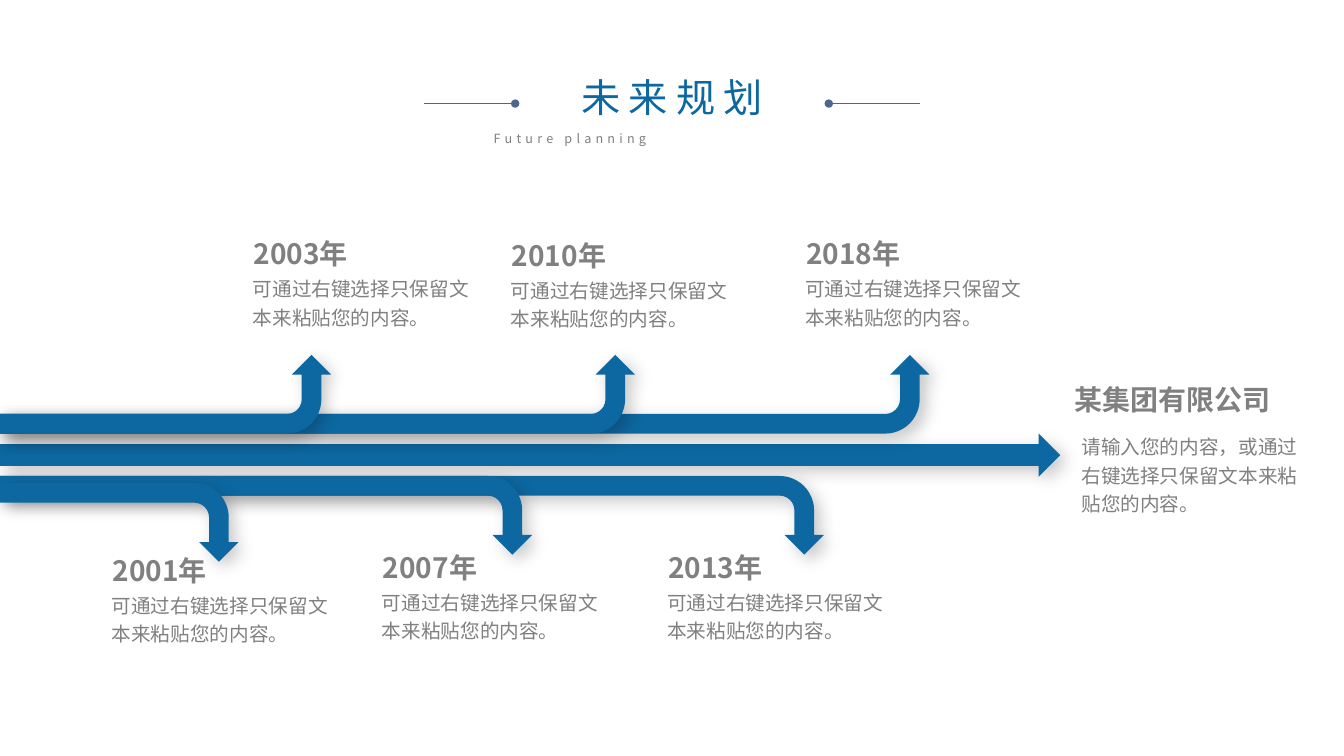
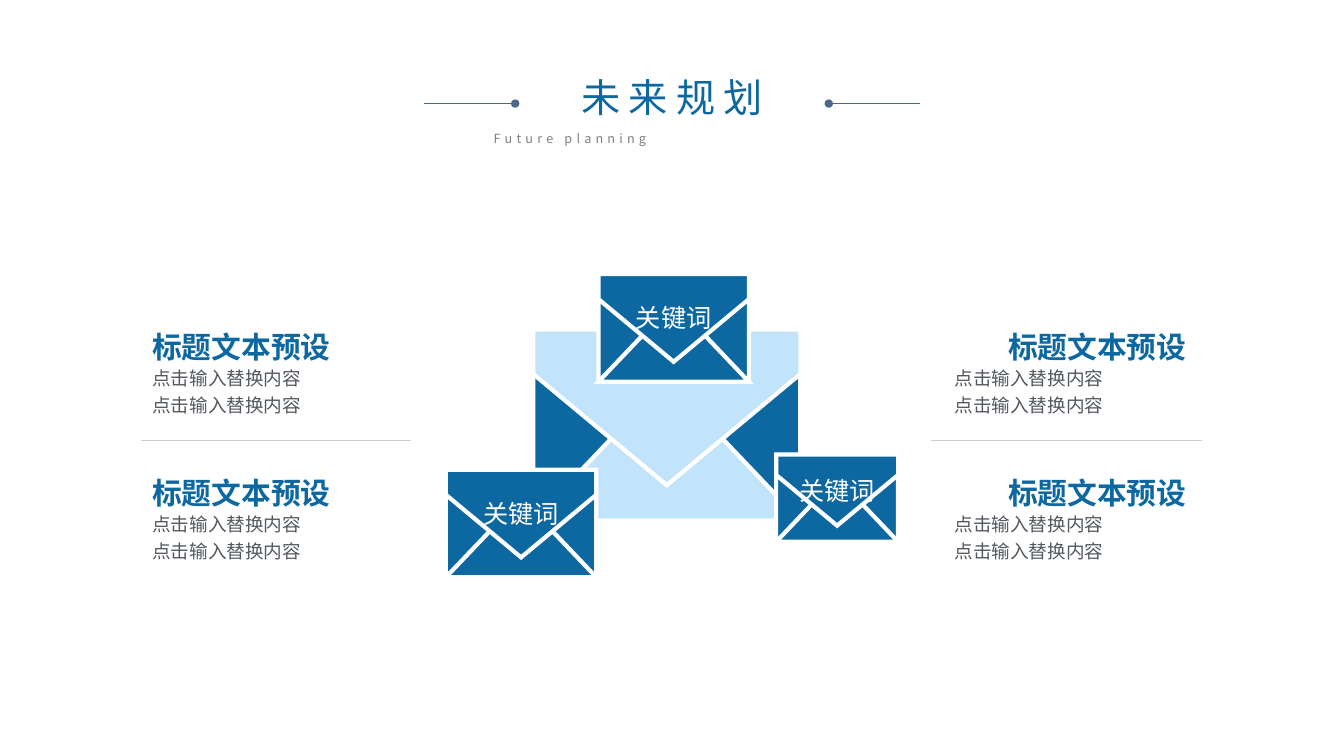
"""Builds two planning slides: a timeline of arrows and a set of envelopes."""
from lxml.etree import SubElement as Sub
from pptx import Presentation
from pptx.dml.color import RGBColor as RGB
from pptx.enum.shapes import MSO_CONNECTOR as Conn, MSO_SHAPE as Kind
from pptx.enum.text import MSO_ANCHOR as Anchor, PP_ALIGN as Align
from pptx.oxml.ns import qn
from pptx.util import Pt

FONT = "Noto Sans CJK SC"
BLUE, PALE, WHITE = RGB(13, 104, 161), RGB(193, 228, 250), RGB(255, 255, 255)
GRAY, DARK = RGB(128, 128, 128), RGB(83, 88, 95)
SLATE, SILVER = RGB(76, 103, 142), RGB(204, 204, 204)

TITLE, SUB = "未来规划", "Future planning"
RULES = [(303, 368), (657, 592)]
NOTE = "可通过右键选择只保留文本来粘贴您的内容。"
FIRM = "某集团有限公司"
GOAL = "请输入您的内容，或通过右键选择只保留文本来粘贴您的内容。"
UP, DOWN, DEEP = 253.5, 340, 345
STEPS = [
    ("2018年", 568.8, 165.6, 664, UP),
    ("2013年", 470.2, 389.5, 588.5, DOWN),
    ("2010年", 358.6, 167, 453.6, UP),
    ("2007年", 266.4, 389.5, 380, DOWN),
    ("2003年", 174.2, 165.6, 236.6, UP),
    ("2001年", 73.4, 391.7, 170.4, DEEP),
]
BEND = 56.2

HEAD, LINE = "标题文本预设", "点击输入替换内容"
SIDES = [
    (665.3, 681.8, 641.5, Align.RIGHT),
    (100.8, 108.7, 108.7, Align.LEFT),
]
ROWS = [234.7, 339]
MAILS = [
    (380.9, 235.4, 190.8, PALE, ""),
    (318.5, 335.5, 107.5, BLUE, "关键词"),
    (554.4, 324.7, 87.1, BLUE, "关键词"),
    (427.5, 195.8, 107.5, BLUE, "关键词"),
]


def write(shape, lines, size, color, align=Align.LEFT, bold=False,
          space=None, gap=0, inset=None):
    frame = shape.text_frame
    frame.word_wrap = True
    frame.vertical_anchor = Anchor.TOP
    if inset is not None:
        frame.margin_left = frame.margin_right = Pt(inset)
        frame.margin_top = frame.margin_bottom = Pt(inset)
    for i, line in enumerate(lines):
        para = frame.paragraphs[0] if i == 0 else frame.add_paragraph()
        para.text = line
        para.alignment = align
        if space:
            para.line_spacing = space
        font = para.font
        font.name, font.size, font.bold = FONT, Pt(size), bold
        font.color.rgb = color
        prop = para._p.pPr.find(qn("a:defRPr"))
        Sub(prop, qn("a:ea"), typeface=FONT)
        if gap:
            prop.set("spc", str(gap * 100))


def label(slide, x, y, w, h, lines, *args, **opts):
    box = slide.shapes.add_textbox(Pt(x), Pt(y), Pt(w), Pt(h))
    write(box, lines, *args, **opts)


def rule(slide, x, end, y, color, dot=False):
    line = slide.shapes.add_connector(Conn.STRAIGHT, Pt(x), Pt(y), Pt(end), Pt(y))
    line.line.color.rgb = color
    line.line.width = Pt(0.5)
    if dot:
        Sub(line.line._get_or_add_ln(), qn("a:tailEnd"), type="oval")
    Sub(line._element.spPr, qn("a:effectLst"))


def paint(shape, color, edge=None):
    shape.shadow.inherit = False
    shape.fill.solid()
    shape.fill.fore_color.rgb = color
    if edge is None:
        shape.line.fill.background()
    else:
        shape.line.color.rgb = edge
        shape.line.width = Pt(3)
        Sub(shape.line._get_or_add_ln(), qn("a:miter"), lim="800000")


def arrow(slide, kind, x, y, w, h):
    shape = slide.shapes.add_shape(kind, Pt(x), Pt(y), Pt(w), Pt(h))
    paint(shape, BLUE)
    glow = Sub(shape._element.spPr.find(qn("a:effectLst")), qn("a:outerShdw"),
               blurRad=str(Pt(12)), dist=str(Pt(5)), dir="2700000",
               algn="tl", rotWithShape="0")
    tint = Sub(glow, qn("a:srgbClr"), val="000000")
    Sub(tint, qn("a:alpha"), val="21000")
    return shape


def bend(slide, reach, top):
    shape = arrow(slide, Kind.BENT_ARROW, (reach - BEND) / 2,
                  top + (BEND - reach) / 2, BEND, reach)
    shape.rotation = 90
    if top == UP:
        shape._element.spPr.xfrm.set("flipH", "1")


def mail(slide, x, y, w, color, word):
    h = w * 0.715
    part = w * 0.865
    for kind, left, top, wide, fill in [
        (Kind.RIGHT_TRIANGLE, x, 0.2, part, BLUE),
        (Kind.RIGHT_TRIANGLE, x + w - part, 0.2, part, BLUE),
        (Kind.ISOSCELES_TRIANGLE, x, 0.265, w, color),
    ]:
        shape = slide.shapes.add_shape(
            kind, Pt(left), Pt(y + top * h), Pt(wide), Pt((1 - top) * h))
        paint(shape, fill, WHITE)
        if left > x:
            shape._element.spPr.xfrm.set("flipH", "1")
    side = y + 0.233 * h
    path = slide.shapes.build_freeform(Pt(x), Pt(y))
    path.add_line_segments([
        (Pt(x + w), Pt(y)), (Pt(x + w), Pt(side)),
        (Pt(x + w / 2), Pt(y + 0.815 * h)), (Pt(x), Pt(side))])
    flap = path.convert_to_shape()
    paint(flap, color, WHITE)
    if word:
        write(flap, [word], 18, WHITE, Align.CENTER)
        flap.text_frame.word_wrap = False
        flap.text_frame.vertical_anchor = Anchor.MIDDLE


def start(deck):
    slide = deck.slides.add_slide(deck.slide_layouts[5])
    title = slide.shapes.title
    title.left, title.top, title.width, title.height = map(Pt, (371.5, 49, 217, 41))
    write(title, [TITLE], 28, BLUE, Align.CENTER, gap=6)
    label(slide, 345.6, 90, 269, 18, [SUB], 9, GRAY, Align.JUSTIFY, gap=3)
    for x, end in RULES:
        rule(slide, x, end, 74, SLATE, dot=True)
    return slide


def route(deck):
    slide = start(deck)
    arrow(slide, Kind.RIGHT_ARROW, 0, 309.6, 757.4, 31)
    for _, _, _, reach, top in STEPS:
        bend(slide, reach, top)
    for year, x, y, _, _ in STEPS:
        label(slide, x, y, 102, 32, [year], 20, GRAY, bold=True)
        label(slide, x - 0.7, y + 25.5, 175, 68, [NOTE], 14, GRAY, space=1.2)
    label(slide, 735, 270, 205, 32, [FIRM], 20, GRAY, Align.CENTER, bold=True)
    label(slide, 765.4, 304, 175, 88, [GOAL], 14, GRAY, space=1.2)


def post(deck):
    slide = start(deck)
    for item in MAILS:
        mail(slide, *item)
    for edge, x, left, align in SIDES:
        for y in ROWS:
            label(slide, x, y + 24.5, 165, 40, [LINE] * 2, 13.3, DARK,
                  space=1.2, inset=0)
            label(slide, left, y, 206, 24.5, [HEAD], 21.3, BLUE, align,
                  bold=True, inset=0)
        rule(slide, edge, edge + 193, 314.6, SILVER)


def main():
    deck = Presentation()
    deck.slide_width, deck.slide_height = Pt(960), Pt(540)
    route(deck)
    post(deck)
    deck.save("out.pptx")


if __name__ == "__main__":
    main()
